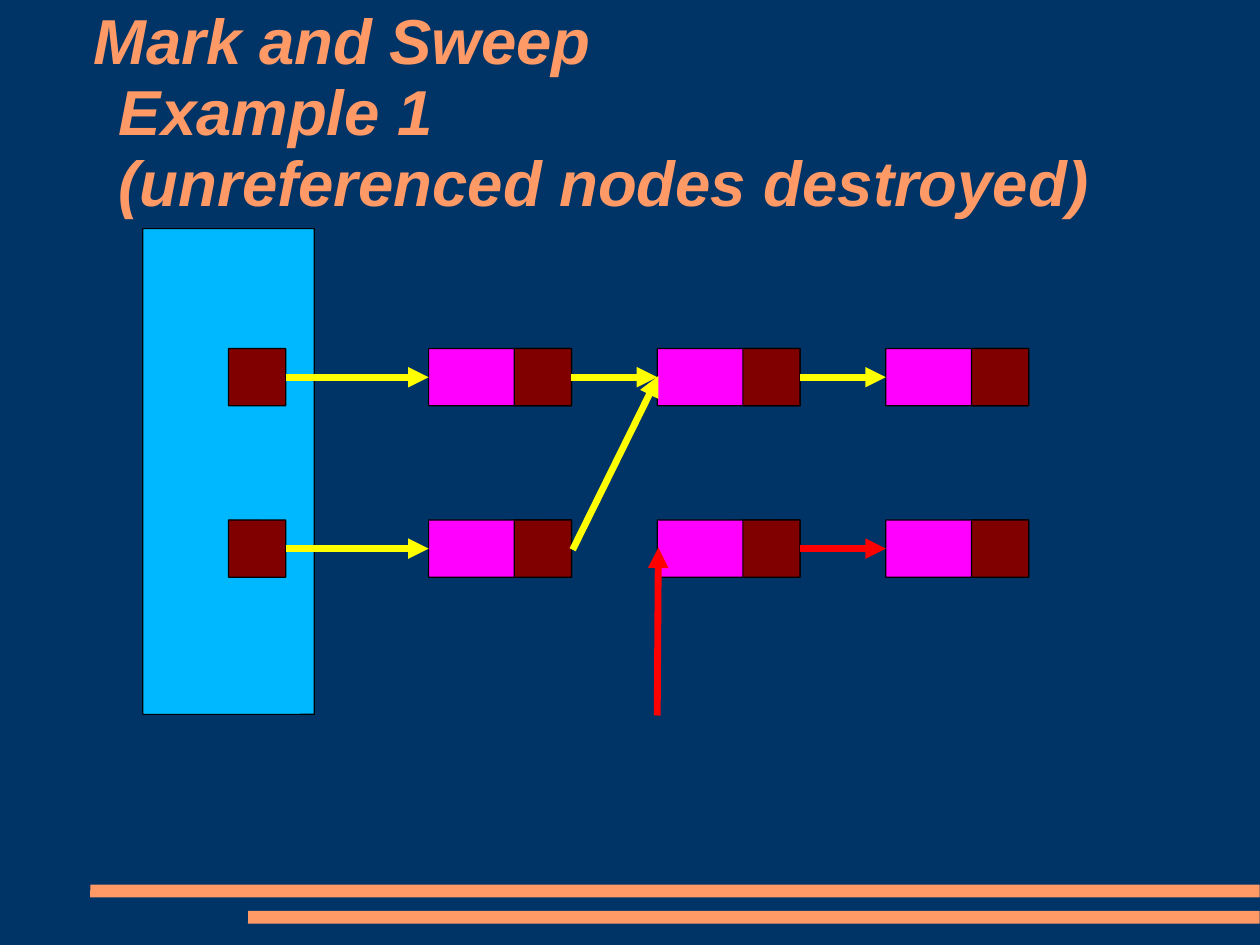
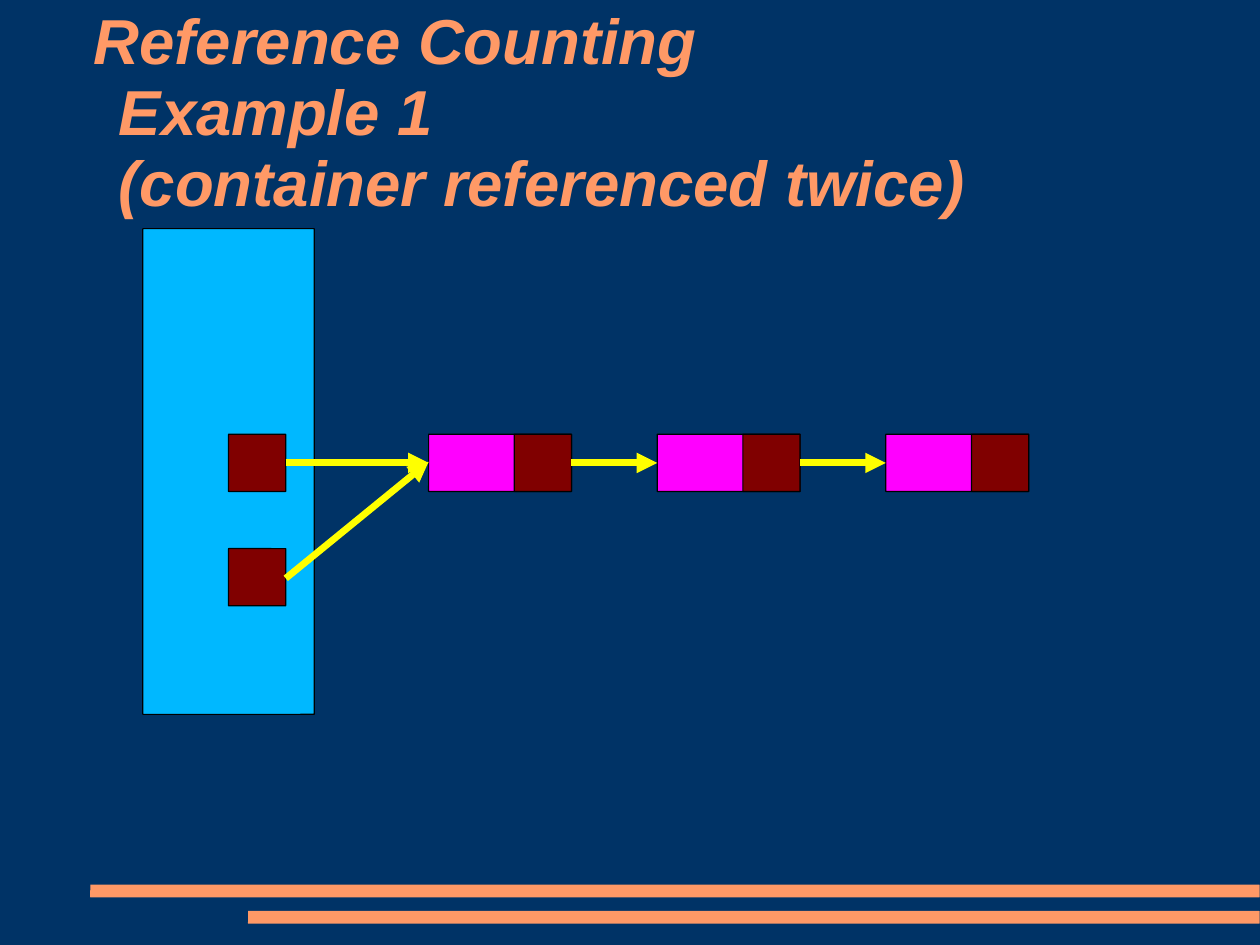
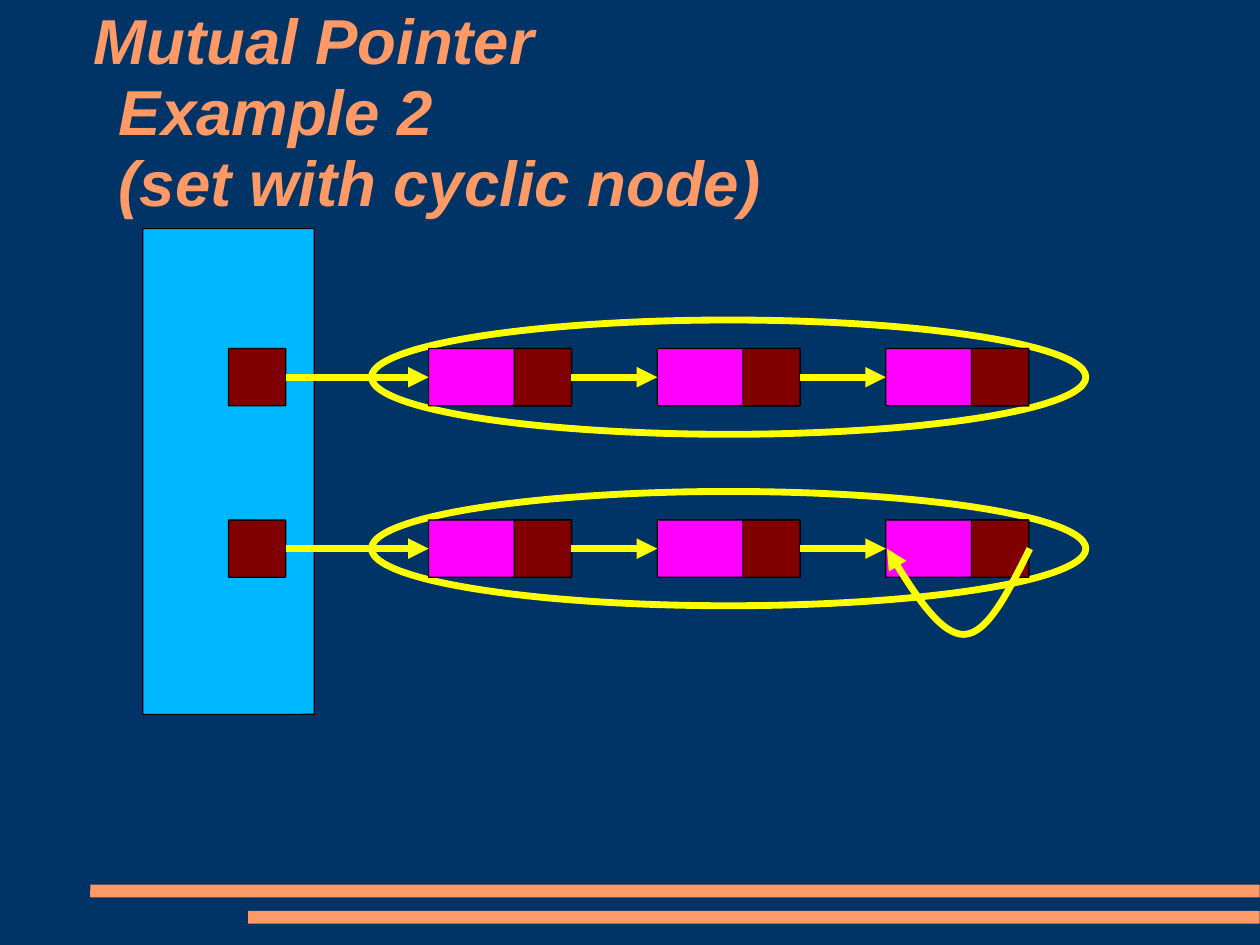
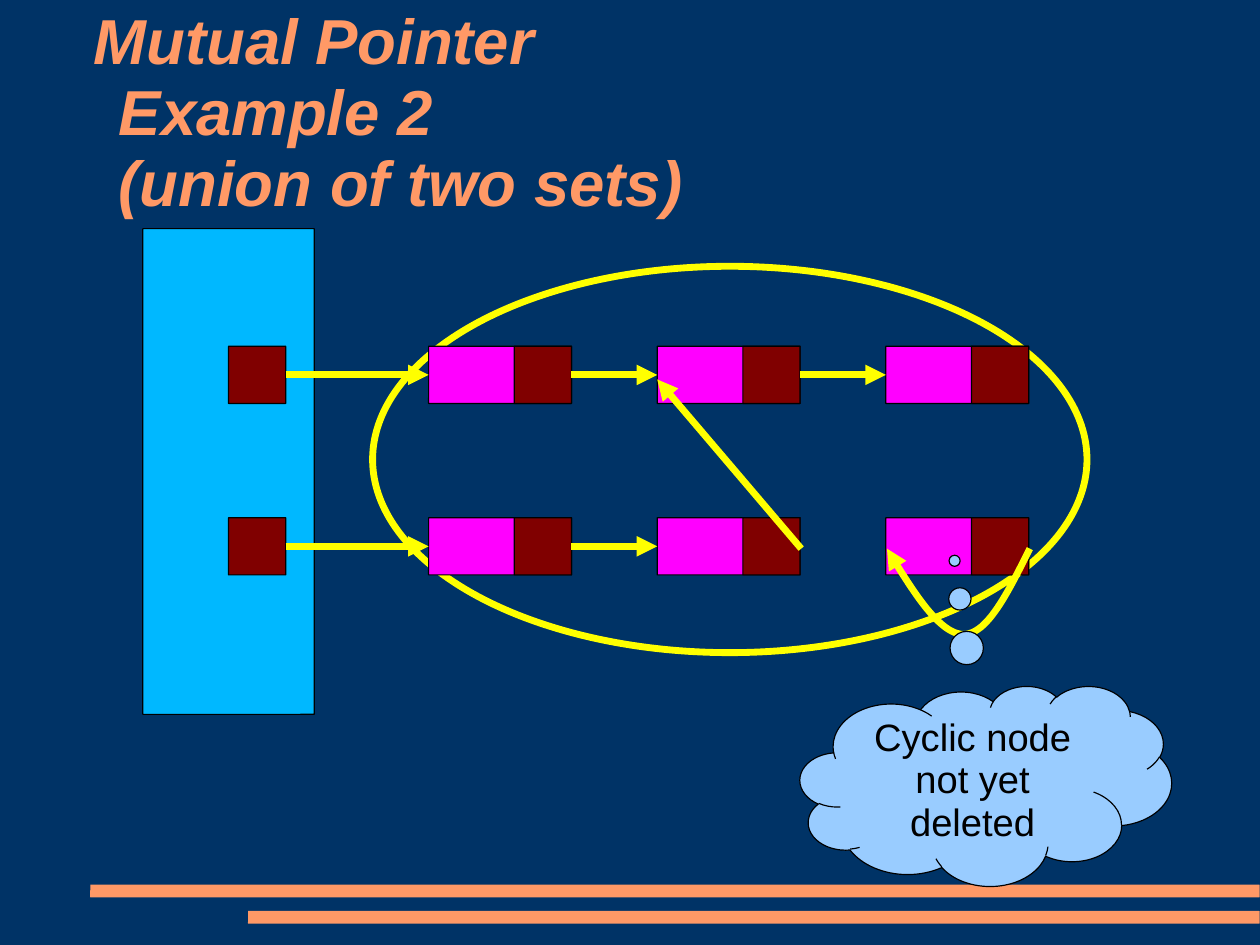
"""Build four slides on garbage collection of linked nodes."""
from dataclasses import dataclass

from lxml import etree
from pptx import Presentation
from pptx.dml.color import RGBColor
from pptx.enum import shapes, text
from pptx.oxml import ns
from pptx.util import Inches, Pt

NAVY = RGBColor(0x00, 0x33, 0x66)
PEACH = RGBColor(0xFF, 0x99, 0x66)
CYAN = RGBColor(0x00, 0xB8, 0xFF)
PINK = RGBColor(0xFF, 0x00, 0xFF)
MAROON = RGBColor(0x80, 0x00, 0x00)
YELLOW = RGBColor(0xFF, 0xFF, 0x00)
RED = RGBColor(0xFF, 0x00, 0x00)
SKY = RGBColor(0x99, 0xCC, 0xFF)
BLACK = RGBColor(0x00, 0x00, 0x00)

FONT = "Arial"
WIDE, HIGH = 28 / 2.54, 21 / 2.54
THIN, THICK = 0.75, 4.31
ROOT, FIRST, STEP = 2, 3.75, 2
CELL, NODE = 0.5, 1.25
STEPS = 24
KIND = shapes.MSO_SHAPE


@dataclass(frozen=True)
class Box:
    left: float
    top: float
    width: float
    height: float

    def emu(self) -> tuple:
        return tuple(map(Inches, (self.left, self.top, self.width, self.height)))


@dataclass(frozen=True)
class Row:
    top: float
    nodes: int = 3
    links: tuple = (0, 1, 2)


@dataclass(frozen=True)
class Arrow:
    start: tuple
    end: tuple
    color: RGBColor = YELLOW


@dataclass(frozen=True)
class Page:
    title: str
    rows: tuple
    arrows: tuple = ()
    rings: tuple = ()
    loop: bool = False
    note: str = ""


BANDS = (Box(0.79, 7.74, 10.23, 0.11), Box(2.17, 7.97, 8.85, 0.11))
TITLE = Box(0.81, 0.07, 9.41, 1.86)
STACK = Box(1.25, 2, 1.5, 4.25)
CLOUD = Box(7, 6, 3.25, 1.75)
LOOP = (
    ((9.01, 4.8), (8.82, 5.18), (8.64, 5.55), (8.43, 5.55)),
    ((8.43, 5.55), (8.22, 5.55), (7.99, 5.18), (7.76, 4.8)),
)

PAGES = (
    Page(
        "Mark and Sweep\nExample 1\n(unreferenced nodes destroyed)",
        (Row(3.05), Row(4.55, links=(0,))),
        arrows=(
            Arrow((7, 4.8), (7.75, 4.8), RED),
            Arrow((5.01, 4.81), (5.76, 3.29)),
            Arrow((5.75, 6.26), (5.76, 4.79), RED),
        ),
    ),
    Page(
        "Reference Counting\nExample 1\n(container referenced twice)",
        (Row(3.8), Row(4.8, nodes=0, links=())),
        arrows=(Arrow((2.5, 5.06), (3.75, 4.04)),),
    ),
    Page(
        "Mutual Pointer\nExample 2\n(set with cyclic node)",
        (Row(3.05), Row(4.55)),
        rings=(Box(3.25, 4.3, 6.25, 1), Box(3.25, 2.8, 6.25, 1)),
        loop=True,
    ),
    Page(
        "Mutual Pointer\nExample 2\n(union of two sets)",
        (Row(3.03), Row(4.53, links=(0, 1))),
        arrows=(Arrow((7.01, 4.8), (5.75, 3.32)),),
        rings=(Box(3.26, 2.33, 6.25, 3.38),),
        loop=True,
        note="Cyclic node not yet deleted",
    ),
)


def write(shape, words: str, *, size: float, color: RGBColor, bold=False,
          italic=False, align=text.PP_ALIGN.LEFT, pad=(0, 0), hang=None) -> None:
    frame = shape.text_frame
    frame.word_wrap = True
    frame.vertical_anchor = text.MSO_ANCHOR.MIDDLE
    frame.margin_left = frame.margin_right = Inches(pad[0])
    frame.margin_top = frame.margin_bottom = Inches(pad[1])
    para = frame.paragraphs[0]
    para.text = words.replace("\n", "\v")
    para.alignment = align
    para.line_spacing = 0.93
    if hang:
        props = para._p.get_or_add_pPr()
        props.set("marL", str(Inches(hang[0])))
        props.set("indent", str(Inches(hang[1])))
    for run in para.runs:
        font = run.font
        font.name, font.size = FONT, Pt(size)
        font.bold, font.italic = bold, italic
        font.color.rgb = color


def paint(shape, fill=None, line=None, width: float = THIN) -> None:
    shape.shadow.inherit = False
    if fill is None:
        shape.fill.background()
    else:
        shape.fill.solid()
        shape.fill.fore_color.rgb = fill
    if line is None:
        shape.line.fill.background()
    else:
        shape.line.color.rgb = line
        shape.line.width = Pt(width)


def block(slide, box: Box, fill: RGBColor, line=BLACK, round=0.003) -> None:
    shape = slide.shapes.add_shape(KIND.ROUNDED_RECTANGLE, *box.emu())
    shape.adjustments[0] = round
    paint(shape, fill, line)


def point(shape) -> None:
    line = shape.element.spPr.find(ns.qn("a:ln"))
    etree.SubElement(line, ns.qn("a:tailEnd"), type="triangle")


def link(slide, arrow: Arrow) -> None:
    ends = map(Inches, arrow.start + arrow.end)
    line = slide.shapes.add_connector(shapes.MSO_CONNECTOR.STRAIGHT, *ends)
    line.line.color.rgb = arrow.color
    line.line.width = Pt(THICK)
    point(line)
    etree.SubElement(line.element.spPr, ns.qn("a:effectLst"))


def bezier(curve: tuple, t: float) -> tuple:
    s = 1 - t
    parts = (s ** 3, 3 * s * s * t, 3 * s * t * t, t ** 3)
    return tuple(
        Inches(sum(part * spot[axis] for part, spot in zip(parts, curve)))
        for axis in (0, 1)
    )


def loop(slide) -> None:
    spots = [bezier(curve, i / STEPS) for curve in LOOP for i in range(1, STEPS + 1)]
    path = slide.shapes.build_freeform(*bezier(LOOP[0], 0))
    path.add_line_segments(spots, close=False)
    shape = path.convert_to_shape()
    paint(shape, line=YELLOW, width=THICK)
    point(shape)


def chain(slide, row: Row) -> None:
    block(slide, Box(ROOT, row.top, CELL, CELL), MAROON)
    for i in range(row.nodes):
        left = FIRST + i * STEP
        block(slide, Box(left, row.top, NODE, CELL), PINK)
        block(slide, Box(left + NODE - CELL, row.top, CELL, CELL), MAROON)


def join(slide, row: Row) -> None:
    mid = row.top + CELL / 2
    for i in row.links:
        head = FIRST + i * STEP
        tail = head - STEP + NODE if i else ROOT + CELL
        link(slide, Arrow((tail, mid), (head, mid)))


def cloud(slide, words: str) -> None:
    shape = slide.shapes.add_shape(KIND.CLOUD_CALLOUT, *CLOUD.emu())
    shape.adjustments[0] = -0.084
    shape.adjustments[1] = -1.125
    paint(shape, SKY, BLACK)
    write(shape, words, size=24, color=BLACK, align=text.PP_ALIGN.CENTER,
          pad=(0.1, 0.05))


def draw(slide, page: Page) -> None:
    for band in BANDS:
        block(slide, band, PEACH, line=None, round=0.017)
    for ring in page.rings:
        shape = slide.shapes.add_shape(KIND.OVAL, *ring.emu())
        paint(shape, line=YELLOW, width=THICK)
    title = slide.shapes.add_textbox(*TITLE.emu())
    write(title, page.title, size=40, color=PEACH, bold=True, italic=True,
          hang=(0.23, -0.22))
    block(slide, STACK, CYAN)
    for row in page.rows:
        chain(slide, row)
    for row in page.rows:
        join(slide, row)
    for arrow in page.arrows:
        link(slide, arrow)
    if page.loop:
        loop(slide)
    if page.note:
        cloud(slide, page.note)


def main() -> None:
    deck = Presentation()
    deck.slide_width, deck.slide_height = Inches(WIDE), Inches(HIGH)
    back = deck.slide_master.background.fill
    back.solid()
    back.fore_color.rgb = NAVY
    for page in PAGES:
        draw(deck.slides.add_slide(deck.slide_layouts[6]), page)
    deck.save("out.pptx")


if __name__ == "__main__":
    main()
